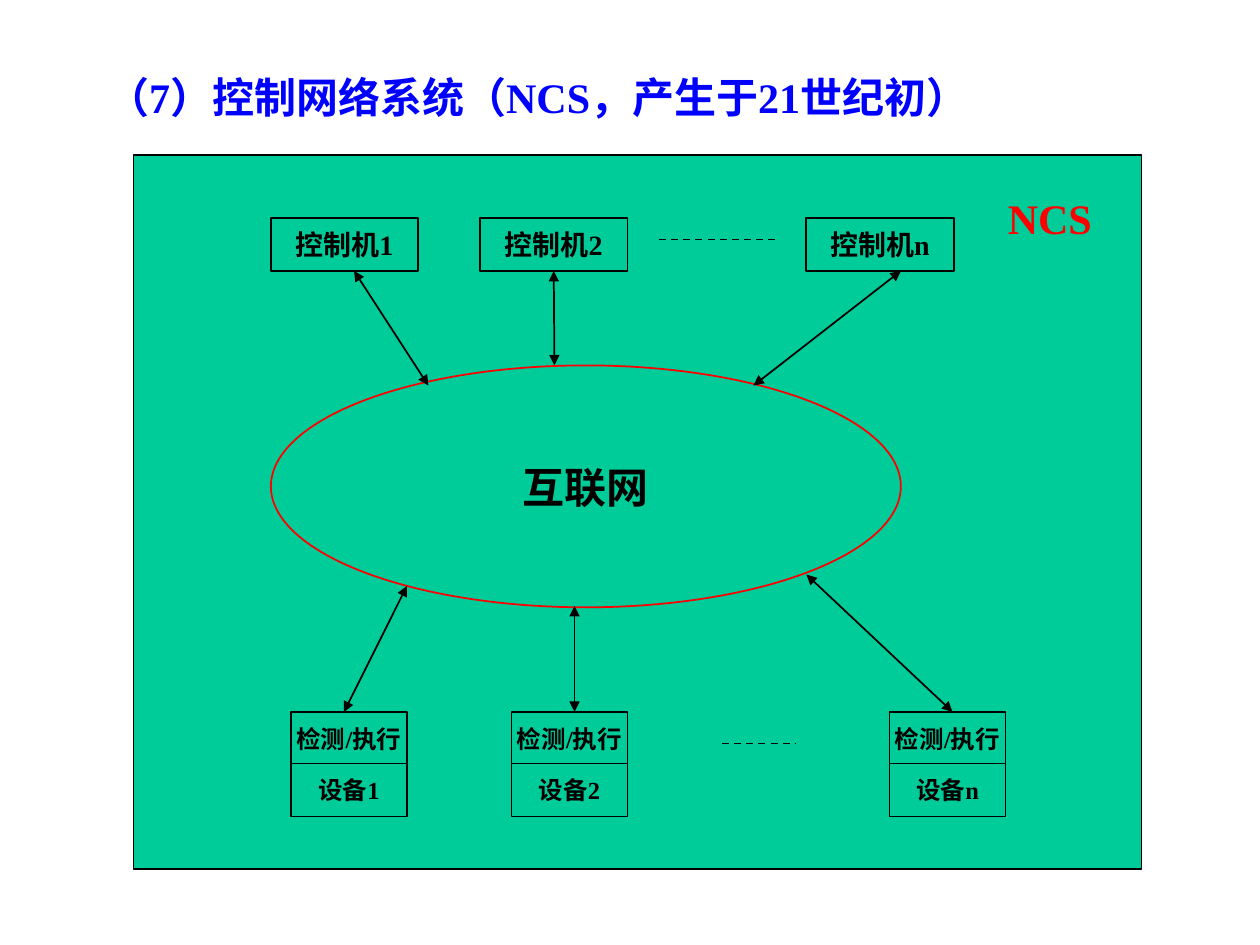
from dataclasses import dataclass

import pptx
import pptx.dml.color
import pptx.enum.dml
import pptx.enum.shapes
import pptx.enum.text
import pptx.oxml
import pptx.oxml.ns
import pptx.util
from pptx.util import Inches

COLORS = {"title": "0000FF", "accent": "FF0000", "ink": "000000", "panel": "00CC99"}
FONT = "Times New Roman"
SHAPES = pptx.enum.shapes.MSO_SHAPE
ALIGN = pptx.enum.text.PP_ALIGN
ANCHOR = pptx.enum.text.MSO_ANCHOR
FIT = pptx.enum.text.MSO_AUTO_SIZE


@dataclass
class Node:
    label: str
    left: float
    top: float
    width: float
    height: float
    size: int = 16
    kind: int = SHAPES.RECTANGLE
    line: str = "ink"


@dataclass
class Link:
    start: tuple[float, float]
    end: tuple[float, float]
    dashed: bool = False


def rgb(name: str) -> pptx.dml.color.RGBColor:
    return pptx.dml.color.RGBColor.from_string(COLORS[name])


def write(frame, text: str, size: int, color: str, align=ALIGN.LEFT) -> None:
    para = frame.paragraphs[0]
    para.alignment = align
    span = para.add_run()
    span.text = text
    span.font.size = pptx.util.Pt(size)
    span.font.name = FONT
    span.font.bold = True
    span.font.color.rgb = rgb(color)


def draw_node(page, node: Node):
    box = page.shapes.add_shape(node.kind, Inches(node.left), Inches(node.top),
                                Inches(node.width), Inches(node.height))
    box.shadow.inherit = False
    box.fill.solid()
    box.fill.fore_color.rgb = rgb("panel")
    box.line.color.rgb = rgb(node.line)
    box.line.width = pptx.util.Pt(1)
    if node.label:
        frame = box.text_frame
        frame.word_wrap = False
        frame.vertical_anchor = ANCHOR.MIDDLE
        write(frame, node.label, node.size, "ink", ALIGN.CENTER)
    return box


def draw_link(page, link: Link):
    """Draw a dashed ellipsis line, or a solid line with an arrowhead at each end."""
    line = page.shapes.add_connector(pptx.enum.shapes.MSO_CONNECTOR.STRAIGHT,
                                     *map(Inches, link.start + link.end))
    line.line.color.rgb = rgb("ink")
    line.line.width = pptx.util.Pt(1)
    if link.dashed:
        line.line.dash_style = pptx.enum.dml.MSO_LINE.DASH
    else:
        outline = line.line._get_or_add_ln()
        for tag in ("headEnd", "tailEnd"):
            outline.append(pptx.oxml.parse_xml(
                f'<a:{tag} {pptx.oxml.ns.nsdecls("a")} type="triangle"/>'))
    line._element.spPr.append(pptx.oxml.parse_xml(
        f'<a:effectLst {pptx.oxml.ns.nsdecls("a")}/>'))
    return line


def add_title(page, text: str) -> None:
    title = page.shapes.title
    title.left, title.top = Inches(0.75), Inches(0.52)
    title.width, title.height = Inches(8.66), Inches(0.5)
    frame = title.text_frame
    frame.word_wrap = True
    frame.auto_size = FIT.SHAPE_TO_FIT_TEXT
    frame.vertical_anchor = ANCHOR.MIDDLE
    write(frame, text, 24, "title")


def main() -> None:
    deck = pptx.Presentation()
    deck.slide_width, deck.slide_height = Inches(10), Inches(7.5)
    page = deck.slides.add_slide(deck.slide_layouts[5])
    add_title(page, "（7）控制网络系统（NCS，产生于21世纪初）")

    draw_node(page, Node("", 1.06, 1.23, 8, 5.67))
    draw_node(page, Node("互联网", 2.15, 2.9, 5, 1.92, 24, SHAPES.OVAL, "accent"))

    controllers = {
        suffix: draw_node(page, Node(f"控制机{suffix}", left, 1.73, 1.17, 0.42))
        for suffix, left in (("1", 2.15), ("2", 3.81), ("n", 6.4))
    }
    for suffix, left in (("1", 2.31), ("2", 4.06), ("n", 7.06)):
        for row, label in enumerate(("检测/执行", f"设备{suffix}")):
            draw_node(page, Node(label, left, 5.65 + row * 0.41, 0.92, 0.42, 14))

    for link in (
        Link((5.23, 1.9), (6.15, 1.9), dashed=True),
        Link((5.73, 5.9), (6.31, 5.9), dashed=True),
        Link((2.81, 2.15), (3.4, 3.06)),
        Link((7.15, 2.15), (5.98, 3.06)),
        Link((2.73, 5.65), (3.23, 4.65)),
        Link((4.56, 5.65), (4.56, 4.81)),
        Link((7.56, 5.65), (6.4, 4.56)),
    ):
        draw_link(page, link)
    middle = draw_link(page, Link((4.4, 2.15), (4.4, 2.9)))
    middle.begin_connect(controllers["2"], 2)

    caption = page.shapes.add_textbox(Inches(7.9), Inches(1.48), Inches(1), Inches(0.5))
    caption.text_frame.word_wrap = True
    write(caption.text_frame, "NCS", 24, "accent")

    deck.save("out.pptx")


if __name__ == "__main__":
    main()
